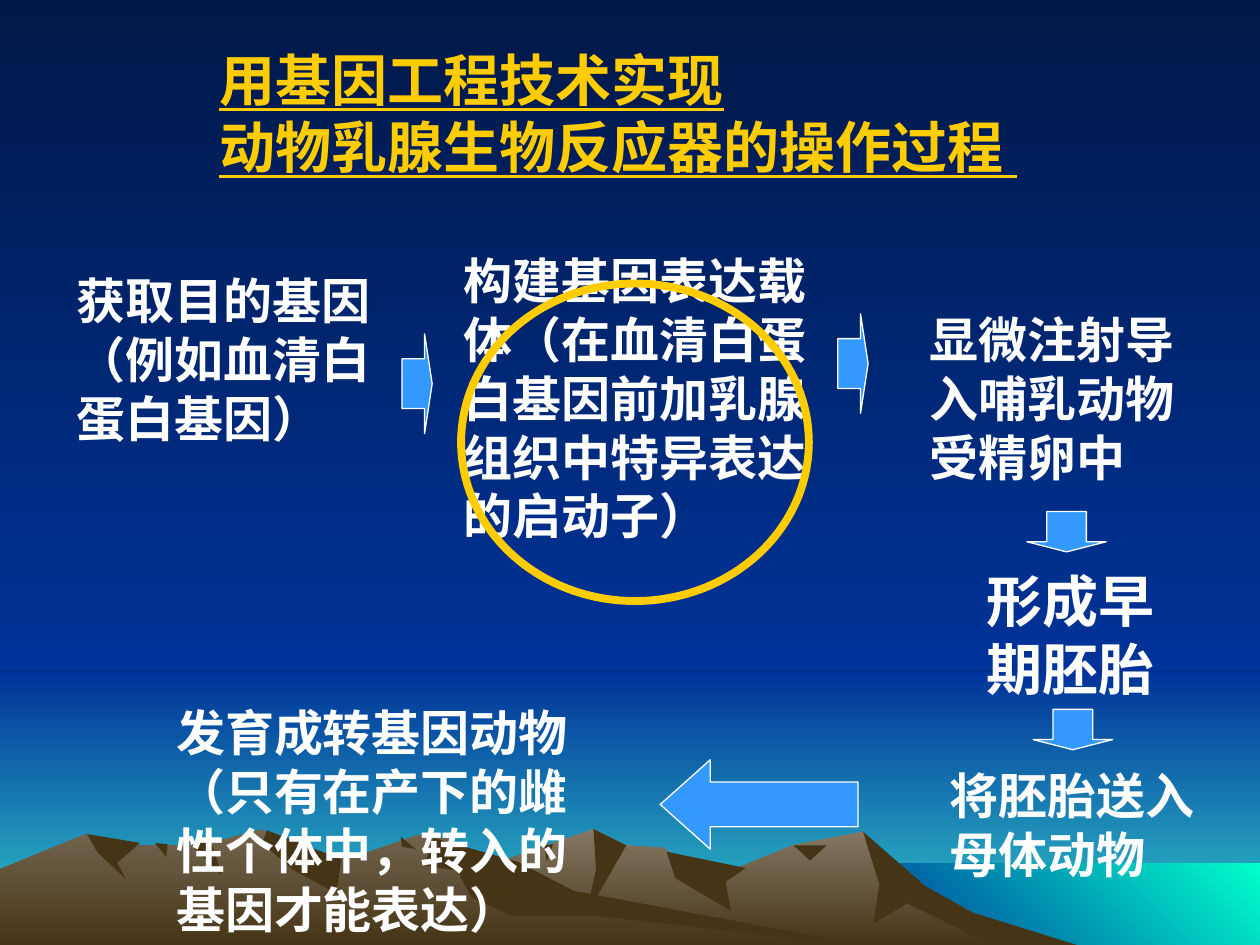
from lxml.etree import SubElement
from pptx import Presentation
from pptx.dml.color import RGBColor
from pptx.enum.lang import MSO_LANGUAGE_ID as Lang
from pptx.enum.shapes import MSO_SHAPE as Shape
from pptx.enum.text import MSO_AUTO_SIZE as AutoSize
from pptx.oxml.ns import qn
from pptx.util import Inches, Pt

NIGHT = RGBColor.from_string("001847")
BLUE = RGBColor.from_string("003399")
HORIZON = RGBColor.from_string("33CCCC")
SEA = RGBColor.from_string("00FFCC")
SOIL = RGBColor.from_string("463416")
FAR_ROCK = RGBColor.from_string("847864")
NEAR_ROCK = RGBColor.from_string("73654F")
GOLD = RGBColor.from_string("FFCC00")
WHITE = RGBColor.from_string("FFFFFF")
ARROW_BLUE = RGBColor.from_string("3399FF")
HEADING_FONT = "Noto Sans CJK SC"
BODY_FONT = "Arial"


def fill_gradient(fill, start, end, angle=270):
    fill.gradient()
    fill.gradient_angle = angle
    for stop, position, color in zip(fill.gradient_stops, (0, 1), (start, end)):
        stop.position = position
        stop.color.rgb = color


def add_text(left, top, width, height, lines, size, color, font_name, underline=None):
    box = slide.shapes.add_textbox(Inches(left), Inches(top), Inches(width), Inches(height))
    frame = box.text_frame
    frame.word_wrap = True
    frame.auto_size = AutoSize.SHAPE_TO_FIT_TEXT
    for number, line in enumerate(lines):
        paragraph = frame.add_paragraph() if number else frame.paragraphs[0]
        run = paragraph.add_run()
        run.text = line
        font = run.font
        font.size = Pt(size)
        font.bold = True
        font.underline = underline
        font.color.rgb = color
        font.name = font_name
        font.language_id = Lang.SIMPLIFIED_CHINESE
        SubElement(run._r.get_or_add_rPr(), qn("a:ea"), typeface=font_name)


prs = Presentation()
prs.slide_width = Inches(10)
prs.slide_height = Inches(7.5)
slide = prs.slides.add_slide(prs.slide_layouts[6])
fill_gradient(slide.background.fill, NIGHT, BLUE)

backdrop = [
    (0, 5.33, 10, 2.17, BLUE, HORIZON, 270),
    (0, 0, 10, 5.33, NIGHT, BLUE, 270),
    (6.83, 6.85, 3.17, 0.67, BLUE, SEA, 45),
]
for left, top, width, height, start, end, angle in backdrop:
    band = slide.shapes.add_shape(
        Shape.RECTANGLE, Inches(left), Inches(top), Inches(width), Inches(height))
    band.shadow.inherit = False
    band.line.fill.background()
    fill_gradient(band.fill, start, end, angle)

# Outline points are in hundredths of an inch.
mountains = [
    (FAR_ROCK, [
        (258, 751), (327, 709), (394, 685), (471, 658), (497, 671), (526, 673),
        (566, 697), (629, 671), (685, 660), (723, 698), (821, 751)]),
    (SOIL, [
        (685, 660), (698, 702), (693, 733), (720, 717), (792, 752), (858, 751),
        (771, 724), (734, 703)]),
    (SOIL, [(471, 658), (473, 690), (465, 727), (497, 671)]),
    (SOIL, [(529, 676), (536, 697), (580, 723), (576, 700), (592, 689)]),
    (SOIL, [(630, 671), (643, 683), (656, 671)]),
    (SOIL, [(432, 671), (434, 684), (439, 670)]),
    (NEAR_ROCK, [
        (0, 751), (0, 690), (68, 662), (94, 671), (160, 671), (208, 658), (236, 681),
        (279, 681), (331, 663), (354, 665), (432, 712), (690, 751)]),
    (SOIL, [(212, 659), (208, 669), (232, 690), (267, 709), (271, 682)]),
    (SOIL, [
        (344, 665), (337, 687), (363, 691), (374, 712), (407, 727), (472, 727),
        (690, 751), (455, 707), (411, 684)]),
    (SOIL, [(318, 664), (319, 672), (330, 674)]),
    (SOIL, [(148, 667), (176, 695), (168, 669)]),
    (SOIL, [(123, 669), (132, 680), (133, 670)]),
    (SOIL, [(69, 662), (77, 676), (100, 698), (93, 685), (111, 669)]),
]
for color, outline in mountains:
    builder = slide.shapes.build_freeform(*outline[0], scale=Inches(0.01))
    builder.add_line_segments(outline[1:], close=True)
    slope = builder.convert_to_shape()
    slope.shadow.inherit = False
    slope.line.fill.background()
    if color == SOIL:
        slope.fill.solid()
        slope.fill.fore_color.rgb = SOIL
    else:
        fill_gradient(slope.fill, color, SOIL)

heading = ["用基因工程技术实现", "动物乳腺生物反应器的操作过程 "]
add_text(1.64, 0.31, 7.6, 1.17, heading, 32, GOLD, HEADING_FONT, underline=True)

steps = [
    (0.51, 2.1, 2.68, 1.5, 28, "获取目的基因（例如血清白蛋白基因）"),
    (3.58, 1.94, 3.15, 2.44, 28, "构建基因表达载体（在血清白蛋白基因前加乳腺组织中特异表达的启动子）"),
    (7.28, 2.41, 2.44, 1.5, 28, "显微注射导入哺乳动物受精卵中"),
    (7.73, 4.45, 1.88, 1.17, 32, "形成早期胚胎"),
    (7.44, 6.03, 2.2, 1.04, 28, "将胚胎送入母体动物"),
    (1.3, 5.53, 3.62, 1.97, 28, "发育成转基因动物（只有在产下的雌性个体中，转入的基因才能表达）"),
]
for left, top, width, height, size, step in steps:
    add_text(left, top, width, height, [step], size, WHITE, BODY_FONT)

arrows = [
    (Shape.RIGHT_ARROW, 0.24, 0.79, 0.25, [(3.19, 2.65), (6.65, 2.49)]),
    (Shape.DOWN_ARROW, 0.63, 0.32, 0.25, [(8.15, 4.06), (8.2, 5.63)]),
    (Shape.LEFT_ARROW, 1.57, 0.71, 0.56, [(5.24, 6.03)]),
]
for kind, width, height, head, places in arrows:
    for left, top in places:
        arrow = slide.shapes.add_shape(
            kind, Inches(left), Inches(top), Inches(width), Inches(height))
        arrow.adjustments[0] = 0.5
        arrow.adjustments[1] = head
        arrow.shadow.inherit = False
        arrow.fill.solid()
        arrow.fill.fore_color.rgb = ARROW_BLUE
        arrow.line.color.rgb = WHITE
        arrow.line.width = Pt(0.75)

vector_ring = slide.shapes.add_shape(
    Shape.OVAL, Inches(3.66), Inches(2.25), Inches(2.76), Inches(2.52))
vector_ring.shadow.inherit = False
vector_ring.fill.background()
vector_ring.line.color.rgb = GOLD
vector_ring.line.width = Pt(4.5)

prs.save("out.pptx")
